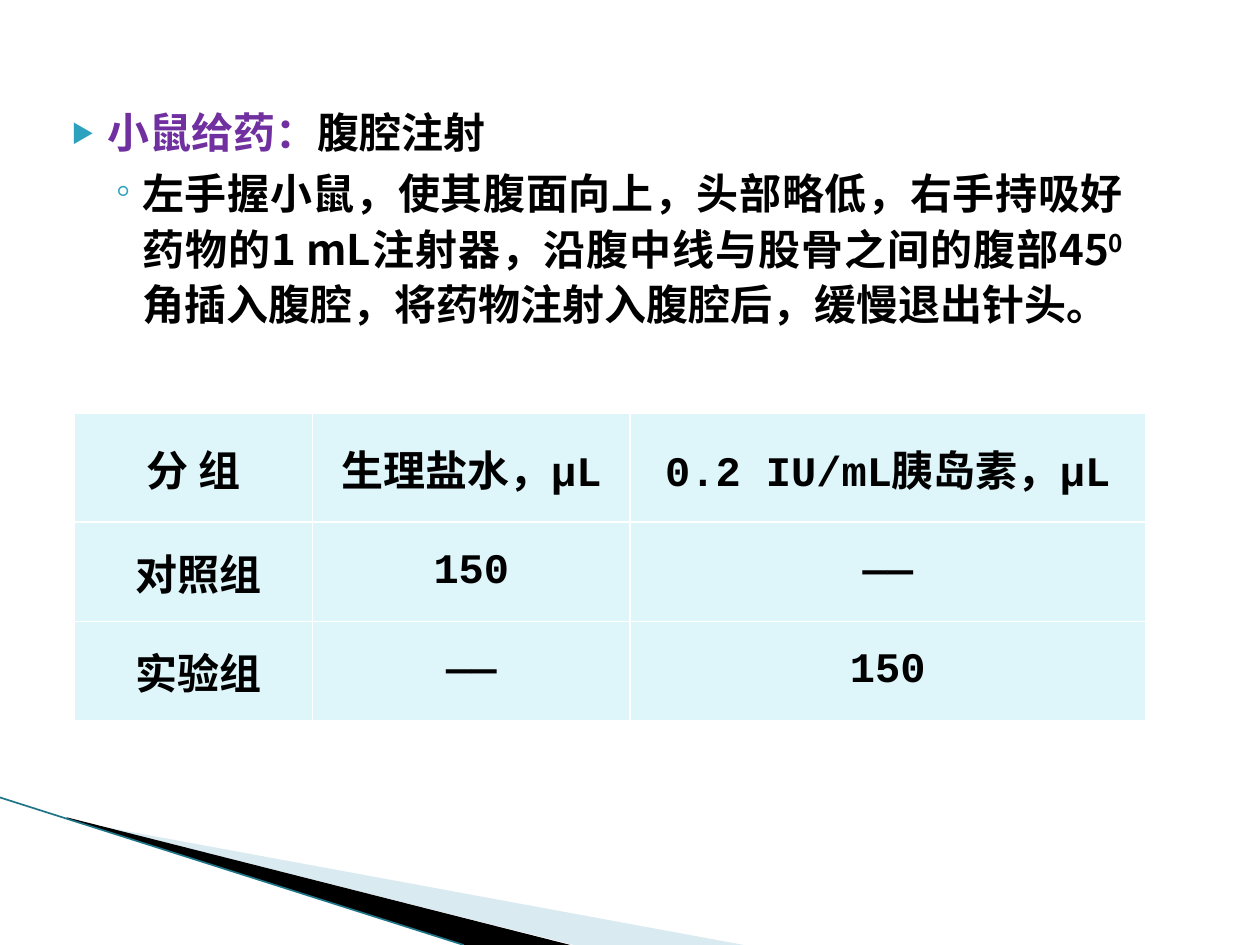
import pptx
import pptx.dml.color
import pptx.enum.shapes
import pptx.enum.text
import pptx.oxml.ns
import pptx.util
from dataclasses import dataclass
from lxml import etree

Pt = pptx.util.Pt
qn = pptx.oxml.ns.qn
Align = pptx.enum.text.PP_ALIGN


@dataclass(frozen=True)
class Theme:
    """Colours, fonts and sizes of the slide."""
    ink: str = "000000"
    paper: str = "FFFFFF"
    head: str = "7030A0"
    mark: str = "2DA2BF"
    cell: str = "DEF5FA"
    pale: str = "A0CBDC"
    edge: str = "1F7588"
    sans: str = "Noto Sans CJK SC"
    mono: str = "Courier New"
    size: int = 24


THEME = Theme()


def rgb(code):
    """Turn a hex code into a colour."""
    return pptx.dml.color.RGBColor.from_string(code)


def add(parent, tag, **attrs):
    """Append a drawing element to its parent."""
    return etree.SubElement(parent, qn(tag), attrs)


def style(run, face, color=THEME.ink):
    """Format a run with one Latin face and the shared Chinese face."""
    font = run.font
    font.name, font.size, font.bold = face, Pt(THEME.size), True
    font.color.rgb = rgb(color)
    font._element.find(qn("a:latin")).addnext(
        font._element.makeelement(qn("a:ea"), {"typeface": THEME.sans}))


def bullet(para, char, face, left, hang, scale):
    """Give a paragraph a coloured bullet and a hanging indent."""
    props = para._p.get_or_add_pPr()
    props.set("marL", str(Pt(left)))
    props.set("indent", str(-Pt(hang)))
    add(add(props, "a:buClr"), "a:srgbClr", val=THEME.mark)
    add(props, "a:buSzPct", val=str(scale * 1000))
    add(props, "a:buFont", typeface=face)
    add(props, "a:buChar", char=char)


def body(slide, x, y, w, h, items):
    """Place the bulleted text in its box."""
    frame = slide.shapes.add_textbox(Pt(x), Pt(y), Pt(w), Pt(h)).text_frame
    frame.word_wrap = True
    for i, (mark, gap, parts) in enumerate(items):
        para = frame.add_paragraph() if i else frame.paragraphs[0]
        bullet(para, *mark)
        para.alignment = Align.JUSTIFY
        para.line_spacing = 1.1
        para.space_before = Pt(gap)
        for text, color, base in parts:
            run = para.add_run()
            run.text = text
            style(run, THEME.sans, color)
            if base:
                run.font._element.set("baseline", str(base * 1000))


def border(cell):
    """Draw a thin light line on each side of a cell."""
    props = cell._tc.get_or_add_tcPr()
    for i, side in enumerate(("a:lnL", "a:lnR", "a:lnT", "a:lnB")):
        line = props.makeelement(qn(side), {"w": str(Pt(1))})
        add(add(line, "a:solidFill"), "a:srgbClr", val=THEME.paper)
        props.insert(i, line)


def grid(slide, x, y, cols, rows, data):
    """Place the dose table at a corner with given columns and rows."""
    table = slide.shapes.add_table(
        len(rows), len(cols), Pt(x), Pt(y), Pt(sum(cols)), Pt(sum(rows))).table
    for col, w in zip(table.columns, cols):
        col.width = Pt(w)
    for row, h, texts in zip(table.rows, rows, data):
        row.height = Pt(h)
        for cell, text in zip(row.cells, texts):
            cell.fill.solid()
            cell.fill.fore_color.rgb = rgb(THEME.cell)
            cell.margin_left = cell.margin_right = cell.margin_top = Pt(0.7)
            cell.margin_bottom = Pt(0)
            cell.vertical_anchor = pptx.enum.text.MSO_ANCHOR.MIDDLE
            cell.text_frame.text = text
            para = cell.text_frame.paragraphs[0]
            para.alignment = Align.CENTER
            style(para.runs[0], THEME.mono)
            border(cell)


def wedge(slide, x, y, points, color, alpha=100):
    """Draw a filled outline from points relative to a corner."""
    spots = [(x + dx, y + dy) for dx, dy in points]
    form = slide.shapes.build_freeform(*spots[0], scale=Pt(1))
    form.add_line_segments(spots[1:], close=True)
    shape = form.convert_to_shape()
    shape.shadow.inherit = False
    shape.line.fill.background()
    shape.fill.solid()
    shape.fill.fore_color.rgb = rgb(color)
    tint = shape._element.spPr.find(qn("a:solidFill"))[0]
    add(tint, "a:alpha", val=str(alpha * 1000))


def corner(slide, x, y, w, h):
    """Place the wedges and the edge line in the lower left corner."""
    wedge(slide, x, y, [(39.6, h - 71.3), (w, h), (328, h), (39.6, h - 72)],
          THEME.pale, 40)
    wedge(slide, x, y, [(38.2, h - 72.7), (326, h), (265, h), (38.9, h - 72)],
          THEME.ink)
    line = slide.shapes.add_connector(
        pptx.enum.shapes.MSO_CONNECTOR.STRAIGHT,
        Pt(x), Pt(y), Pt(x + 265), Pt(y + h))
    line.line.color.rgb = rgb(THEME.edge)
    line.line.width = Pt(0.95)
    add(line._element.spPr, "a:effectLst")


def main():
    """Build the slide and save it."""
    deck = pptx.Presentation()
    deck.slide_width, deck.slide_height = Pt(720), Pt(540)
    slide = deck.slides.add_slide(deck.slide_layouts[6])
    slide.background.fill.solid()
    slide.background.fill.fore_color.rgb = rgb(THEME.paper)
    corner(slide, 0, 455.7, 425, 84.3)
    body(slide, 25.2, 54.7, 623.8, 165, [
        (("▶", THEME.sans, 29, 20.2, 55), 0,
         [("小鼠给药：", THEME.head, 0), ("腹腔注射", THEME.ink, 0)]),
        (("◦", THEME.mono, 49, 18, 100), 3.2,
         [("左手握小鼠，使其腹面向上，头部略低，右手持吸好药物的1 mL注射器，"
           "沿腹中线与股骨之间的腹部45", THEME.ink, 0),
          ("0", THEME.ink, 30),
          ("角插入腹腔，将药物注射入腹腔后，缓慢退出针头。", THEME.ink, 0)]),
    ])
    grid(slide, 42.7, 236.4, [136, 181.3, 294.7], [62, 56.7, 56.7], [
        ["分 组", "生理盐水，μL", "0.2 IU/mL胰岛素，μL"],
        [" 对照组", "150", "——"],
        [" 实验组", "——", "150"],
    ])
    deck.save("out.pptx")


if __name__ == "__main__":
    main()
